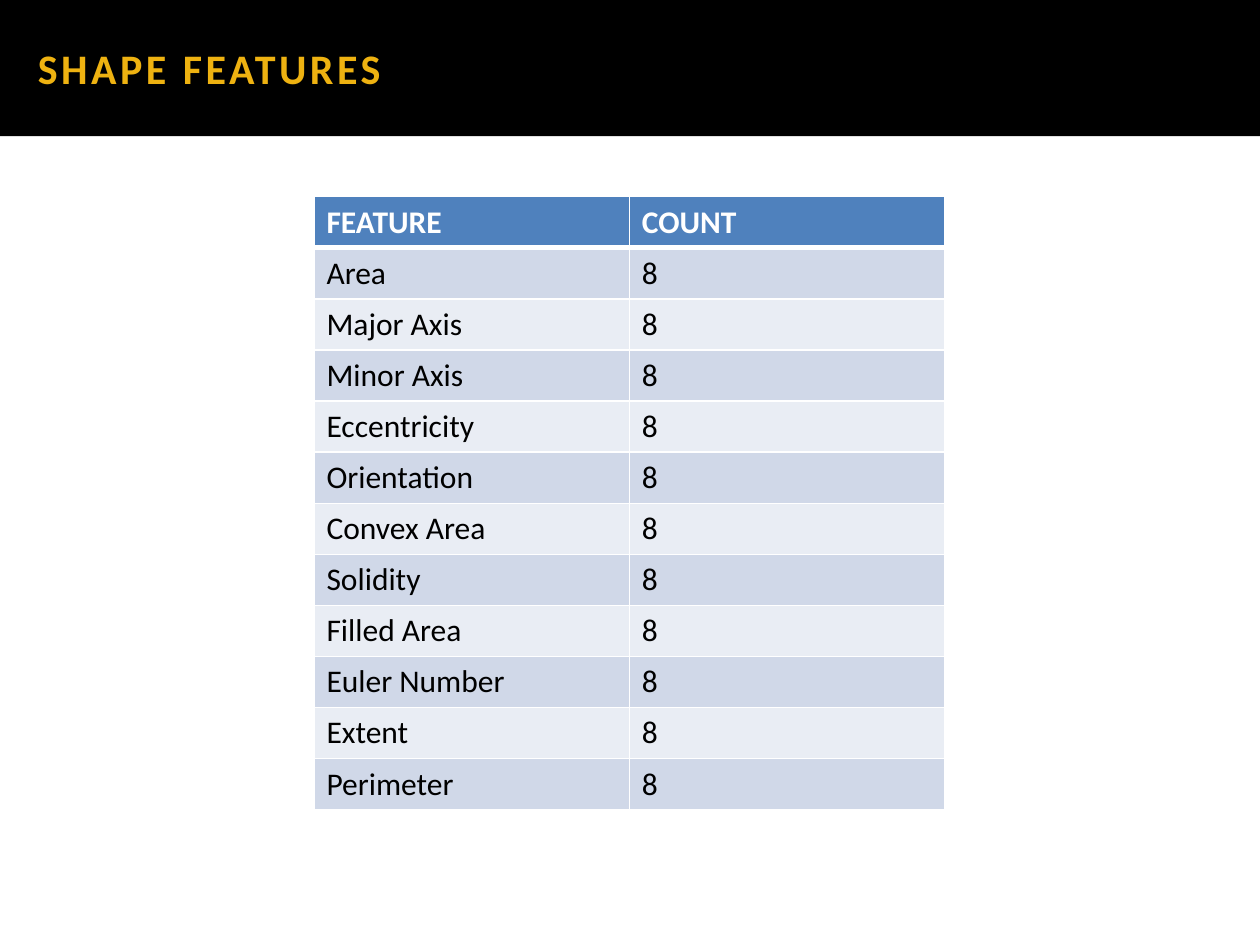
from dataclasses import dataclass

import lxml.etree
import pptx
import pptx.dml.color
import pptx.enum.text
import pptx.oxml.ns
import pptx.util

Pt = pptx.util.Pt
RGB = pptx.dml.color.RGBColor.from_string


@dataclass(frozen=True)
class Theme:
    font: str = "Calibri"
    title_size: float = 24
    table_size: float = 18
    title_fill: str = "000000"
    title_text: str = "EEB211"
    header_fill: str = "4F81BD"
    header_text: str = "FFFFFF"
    body_text: str = "000000"
    bands: tuple[str, str] = ("D0D8E8", "E9EDF4")
    border: str = "FFFFFF"
    border_width: float = 1
    header_rule_width: float = 3


@dataclass(frozen=True)
class Feature:
    name: str
    count: int = 8


THEME = Theme()
SLIDE_WIDTH, SLIDE_HEIGHT = 720, 540
TITLE_HEIGHT = 77.76
TABLE_LEFT, TABLE_TOP = 179.4, 112.4
COLUMN_WIDTH, ROW_HEIGHT = 180.2, 29.2
HEADINGS = ("FEATURE", "COUNT")
FEATURES = [
    Feature(name)
    for name in (
        "Area", "Major Axis", "Minor Axis", "Eccentricity", "Orientation", "Convex Area",
        "Solidity", "Filled Area", "Euler Number", "Extent", "Perimeter",
    )
]


def format_text(frame, size: float, color: str, bold: bool) -> None:
    for para in frame.paragraphs:
        para.alignment = pptx.enum.text.PP_ALIGN.LEFT
        for span in para.runs:
            span.font.name = THEME.font
            span.font.size = Pt(size)
            span.font.bold = bold
            span.font.color.rgb = RGB(color)


def set_borders(cell, **widths: float) -> None:
    """Draw the given edges (L, R, T, B), which must precede the cell fill in the XML."""
    properties = cell._tc.get_or_add_tcPr()
    for index, (edge, width) in enumerate(widths.items()):
        line = lxml.etree.Element(pptx.oxml.ns.qn(f"a:ln{edge}"), w=str(Pt(width)))
        fill = lxml.etree.SubElement(line, pptx.oxml.ns.qn("a:solidFill"))
        lxml.etree.SubElement(fill, pptx.oxml.ns.qn("a:srgbClr"), val=THEME.border)
        properties.insert(index, line)


def add_title(page, text: str) -> None:
    box = page.shapes.title
    box.left, box.top, box.width, box.height = Pt(0), Pt(0), Pt(SLIDE_WIDTH), Pt(TITLE_HEIGHT)
    box.fill.solid()
    box.fill.fore_color.rgb = RGB(THEME.title_fill)
    frame = box.text_frame
    frame.text = text
    frame.word_wrap = True
    frame.auto_size = pptx.enum.text.MSO_AUTO_SIZE.NONE
    frame.vertical_anchor = pptx.enum.text.MSO_ANCHOR.MIDDLE
    frame.margin_left = Pt(21.6)
    format_text(frame, THEME.title_size, THEME.title_text, True)
    frame.paragraphs[0].runs[0].font._element.set("spc", "200")


def add_feature_table(page, features: list[Feature]) -> None:
    rows = [HEADINGS] + [(feature.name, str(feature.count)) for feature in features]
    table = page.shapes.add_table(
        len(rows), len(HEADINGS), Pt(TABLE_LEFT), Pt(TABLE_TOP),
        Pt(COLUMN_WIDTH * len(HEADINGS)), Pt(ROW_HEIGHT * len(rows)),
    ).table
    for row_index, values in enumerate(rows):
        is_header = row_index == 0
        fill = THEME.header_fill if is_header else THEME.bands[(row_index - 1) % 2]
        color = THEME.header_text if is_header else THEME.body_text
        top = THEME.header_rule_width if row_index == 1 else THEME.border_width
        bottom = THEME.header_rule_width if is_header else THEME.border_width
        for column_index, value in enumerate(values):
            cell = table.cell(row_index, column_index)
            cell.text_frame.text = value
            format_text(cell.text_frame, THEME.table_size, color, is_header)
            cell.fill.solid()
            cell.fill.fore_color.rgb = RGB(fill)
            set_borders(cell, L=THEME.border_width, R=THEME.border_width, T=top, B=bottom)


def main() -> None:
    deck = pptx.Presentation()
    deck.slide_width, deck.slide_height = Pt(SLIDE_WIDTH), Pt(SLIDE_HEIGHT)
    page = deck.slides.add_slide(deck.slide_layouts.get_by_name("Title Only"))
    add_title(page, "SHAPE FEATURES")
    add_feature_table(page, FEATURES)
    deck.save("out.pptx")


if __name__ == "__main__":
    main()
